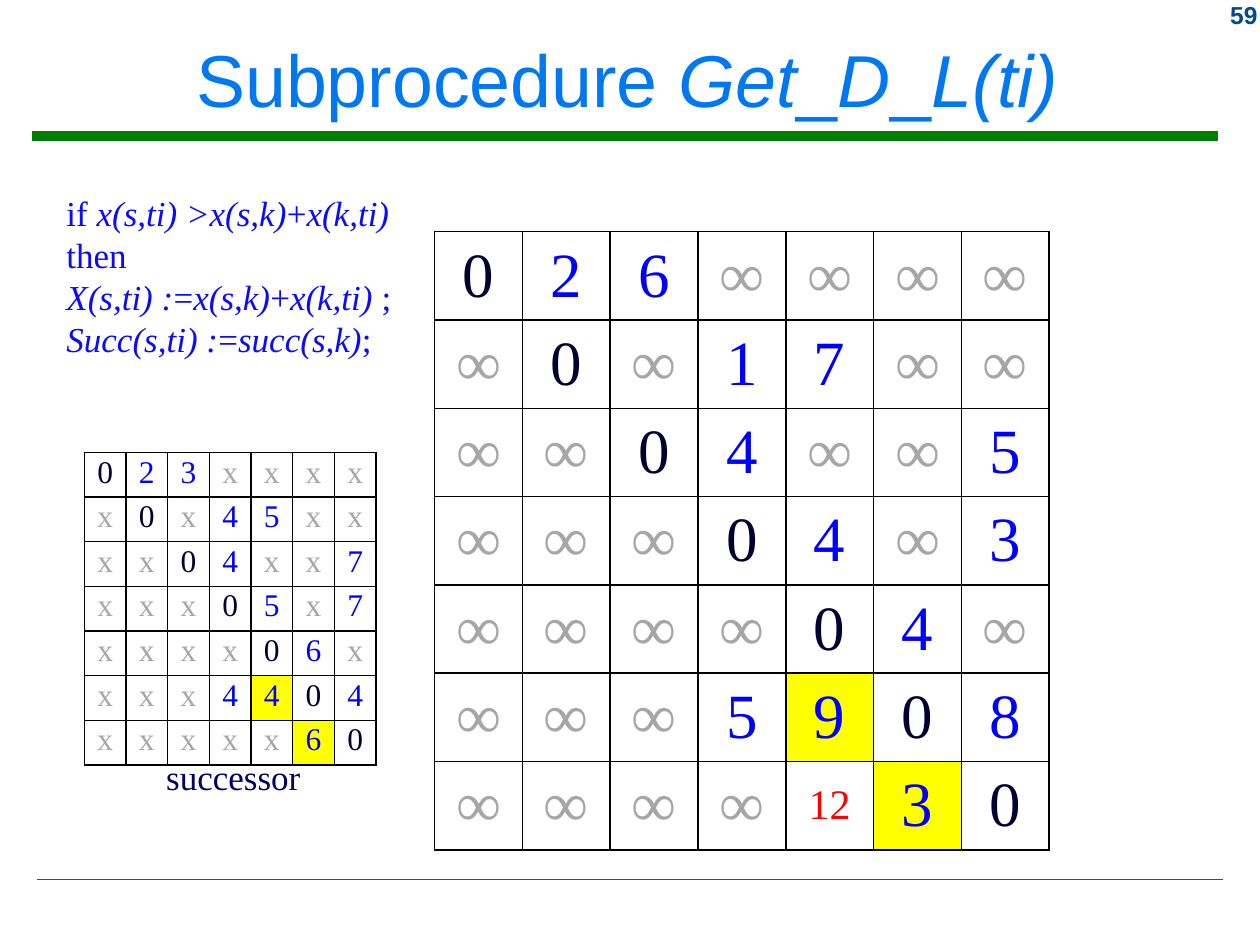
from dataclasses import dataclass

from lxml.etree import SubElement
from pptx import Presentation
from pptx.dml.color import RGBColor
from pptx.enum.shapes import MSO_CONNECTOR as Connector
from pptx.enum.text import MSO_ANCHOR as Anchor, PP_ALIGN as Align
from pptx.oxml.ns import qn
from pptx.util import Cm, Pt

COLORS = {
    "rule": "008000", "page number": "004992", "title": "0078F0",
    "caption": "000066", "code": "0A0AFF", "border": "000000",
    "diagonal": "000033", "value": "0000FF", "none": "A6A6A6",
    "new": "FF0000", "plain": "FFFFFF", "changed": "FFFF00",
}
SERIF, SANS = "Times New Roman", "Arial"


@dataclass
class Rule:
    left: float
    right: float
    top: float
    weight: float


@dataclass
class Label:
    lines: list[str]
    place: tuple[float, float, float, float]
    size: float
    color: str
    font: str = SERIF
    bold: bool = False
    align: Align = Align.LEFT
    anchor: Anchor = Anchor.TOP
    wrap: bool = True


@dataclass
class Matrix:
    rows: list[str]
    left: float
    top: float
    column_width: float
    row_height: float
    size: float
    margins: tuple[float, float]
    anchor: Anchor
    changed: set[tuple[int, int]]


RULES = [Rule(0.64, 24.56, 2.74, 5.25), Rule(0.74, 24.66, 17.73, 1)]

# Text between asterisks is italic.
LABELS = [
    Label(["59"], (23.29, -0.13, 2.31, 0.84), 14, "page number", SANS,
          bold=True, align=Align.RIGHT),
    Label(["Subprocedure *Get*_*D*_*L(ti)*"], (0.2, 0.23, 24.89, 2.69), 42,
          "title", SANS, align=Align.CENTER, anchor=Anchor.MIDDLE),
    Label(["successor"], (3.1, 15.11, 3.25, 1.12), 20, "caption", wrap=False),
    Label(["if *x(s,ti) >x(s,k)*+*x(k,ti) *then",
           "*X(s,ti) :*=*x(s,k)*+*x(k,ti) *;",
           "*Succ(s,ti) :*=*succ(s,k)*;"],
          (1.09, 3.73, 8.2, 3.68), 20, "code"),
]

DISTANCES = Matrix(
    ["0 2 6 ∞ ∞ ∞ ∞",
     "∞ 0 ∞ 1 7 ∞ ∞",
     "∞ ∞ 0 4 ∞ ∞ 5",
     "∞ ∞ ∞ 0 4 ∞ 3",
     "∞ ∞ ∞ ∞ 0 4 ∞",
     "∞ ∞ ∞ 5 9 0 8",
     "∞ ∞ ∞ ∞ 12 3 0"],
    8.76, 4.67, 1.77, 1.78, 36, (0.25, 0.13), Anchor.MIDDLE, {(5, 4), (6, 5)})
SUCCESSORS = Matrix(
    ["0 2 3 x x x x",
     "x 0 x 4 5 x x",
     "x x 0 4 x x 7",
     "x x x 0 5 x 7",
     "x x x x 0 6 x",
     "x x x 4 4 0 4",
     "x x x x x 6 0"],
    1.7, 9.12, 0.84, 0.9, 18, (0.13, 0.05), Anchor.TOP, {(5, 4), (6, 5)})


def color(name: str) -> RGBColor:
    return RGBColor.from_string(COLORS[name])


def draw_rule(page, rule: Rule) -> None:
    line = page.shapes.add_connector(Connector.STRAIGHT, Cm(rule.left), Cm(rule.top),
                                     Cm(rule.right), Cm(rule.top))
    line.line.color.rgb = color("rule")
    line.line.width = Pt(rule.weight)
    SubElement(line._element.spPr, qn("a:effectLst"))


def draw_label(page, label: Label) -> None:
    box = page.shapes.add_textbox(*map(Cm, label.place))
    frame = box.text_frame
    frame.word_wrap = label.wrap
    frame.vertical_anchor = label.anchor
    frame.text = "\n".join(line.replace("*", "") for line in label.lines)
    for para, line in zip(frame.paragraphs, label.lines):
        para.alignment = label.align
        para.text = ""
        for index, part in enumerate(line.split("*")):
            if not part:
                continue
            span = para.add_run()
            span.text = part
            font = span.font
            font.name, font.size, font.bold = label.font, Pt(label.size), label.bold
            font.italic = index % 2 == 1
            font.color.rgb = color(label.color)


def add_borders(cell) -> None:
    properties = cell._tc.get_or_add_tcPr()
    for side in ("a:lnL", "a:lnR", "a:lnT", "a:lnB"):
        border = SubElement(properties, qn(side), w=str(Pt(1)))
        fill = SubElement(border, qn("a:solidFill"))
        SubElement(fill, qn("a:srgbClr"), val=COLORS["border"])


def entry_color(entry: str) -> str:
    special = {"0": "diagonal", "∞": "none", "x": "none", "12": "new"}
    return special.get(entry, "value")


def draw_matrix(page, matrix: Matrix) -> None:
    entries = [row.split() for row in matrix.rows]
    count = len(entries)
    table = page.shapes.add_table(
        count, count, Cm(matrix.left), Cm(matrix.top),
        Cm(matrix.column_width * count), Cm(matrix.row_height * count)).table
    table.first_row = table.horz_banding = False
    for column in table.columns:
        column.width = Cm(matrix.column_width)
    side, edge = map(Cm, matrix.margins)
    for row, values in enumerate(entries):
        table.rows[row].height = Cm(matrix.row_height)
        for column, entry in enumerate(values):
            cell = table.cell(row, column)
            cell.margin_left = cell.margin_right = side
            cell.margin_top = cell.margin_bottom = edge
            cell.vertical_anchor = matrix.anchor
            add_borders(cell)
            cell.fill.solid()
            changed = (row, column) in matrix.changed
            cell.fill.fore_color.rgb = color("changed" if changed else "plain")
            cell.text_frame.text = entry
            para = cell.text_frame.paragraphs[0]
            para.alignment = Align.CENTER
            font = para.runs[0].font
            font.name = SERIF
            font.size = Pt(24 if entry == "12" else matrix.size)
            font.color.rgb = color(entry_color(entry))


def main() -> None:
    deck = Presentation()
    deck.slide_width, deck.slide_height = Cm(25.4), Cm(19.05)
    page = deck.slides.add_slide(deck.slide_layouts[6])
    for rule in RULES:
        draw_rule(page, rule)
    for matrix in (DISTANCES, SUCCESSORS):
        draw_matrix(page, matrix)
    for label in LABELS:
        draw_label(page, label)
    deck.save("out.pptx")


if __name__ == "__main__":
    main()
